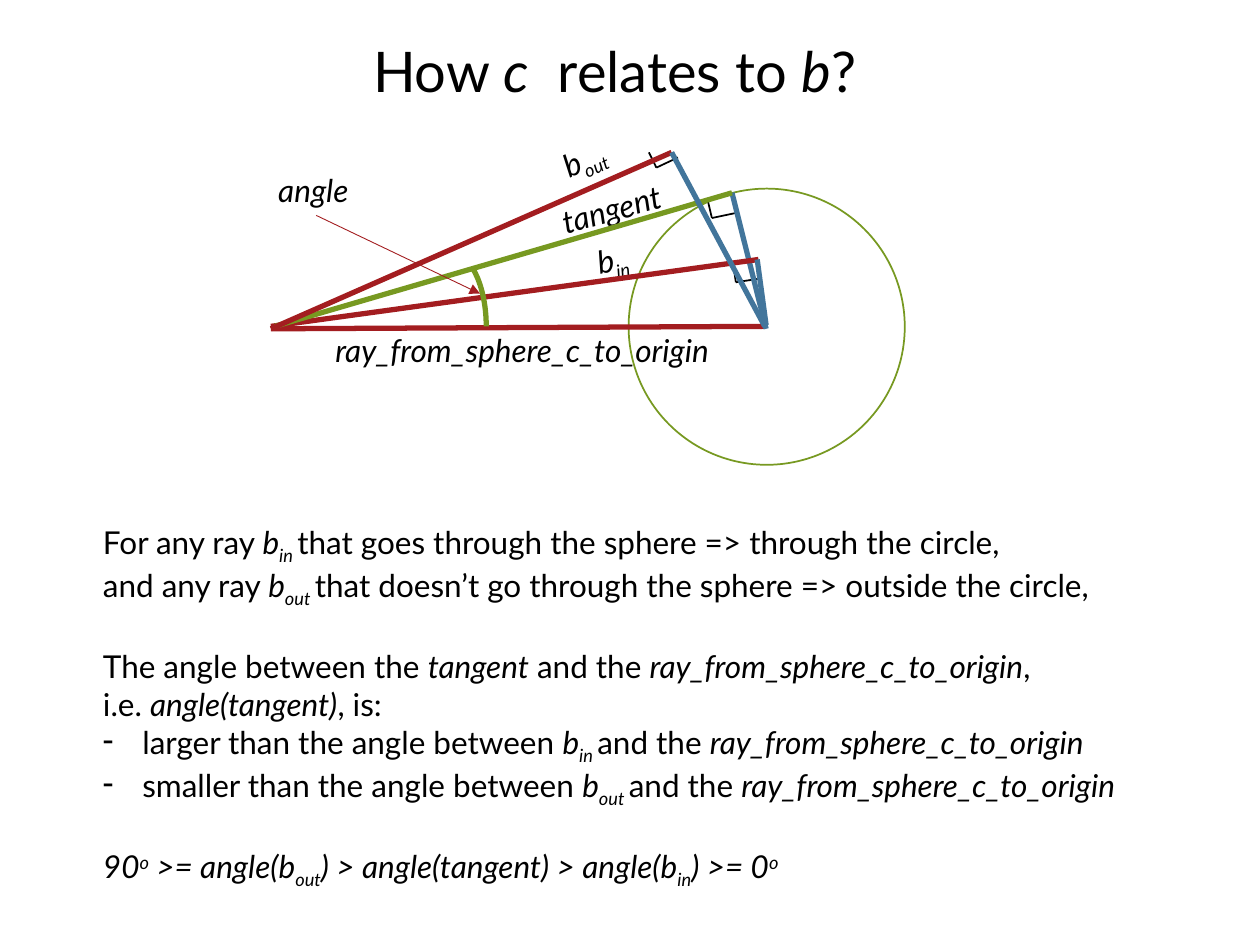
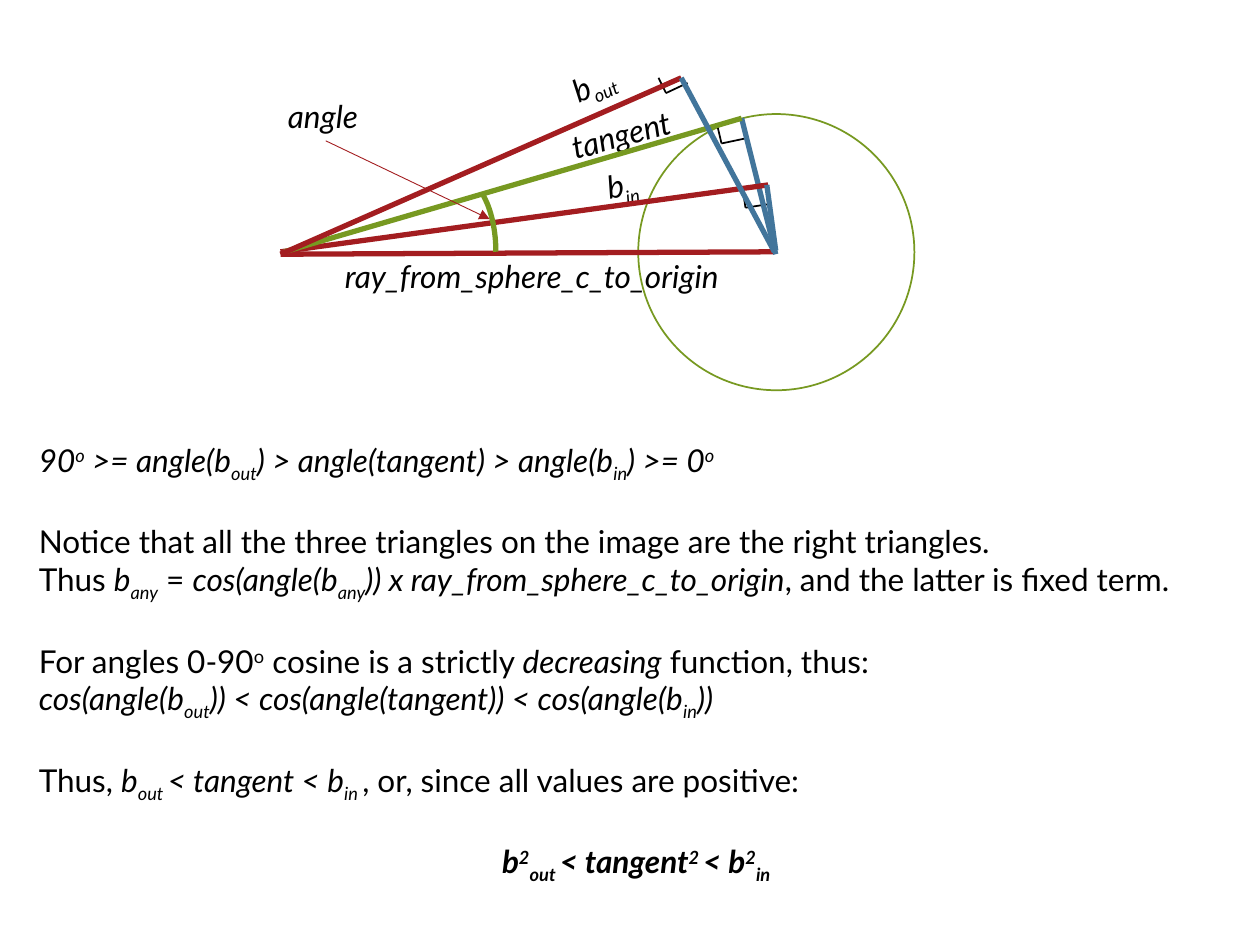
from lxml import etree
from pptx import Presentation
from pptx.dml.color import RGBColor
from pptx.enum.shapes import MSO_CONNECTOR, MSO_SHAPE
from pptx.enum.text import MSO_ANCHOR, MSO_AUTO_SIZE, PP_ALIGN
from pptx.oxml.ns import qn
from pptx.util import Pt

# Shared look
FONT = "Lato"
BLACK, WHITE, RED, GREEN, BLUE = "000000", "FFFFFF", "A31D20", "779921", "42759B"
BODY_SIZE, TITLE_SIZE = 18, 32
BLANK_LINE = 22
BULLET_INDENT = 22.5

# Run styles: i italic, b bold, _ subscript, ^ superscript
BASELINES = {"_": "-25000", "^": "30000"}
LINE_BREAK = None
RAY = ("ray_from_sphere_c_to_origin", "i")

# Text; a paragraph is (options, runs)
TITLE = [("How ", ""), ("c", "i"), ("  relates to ", ""), ("b", "i"), ("?", "")]
ANGLE_ORDER = [
    ("90", "i"), ("o", "i^"), (" >= angle(b", "i"), ("out", "i_"),
    (") > angle(tangent) > angle(b", "i"), ("in", "i_"), (") >= 0", "i"), ("o", "i^"),
]
RELATION_TEXT = [
    ("", [("For any ray ", ""), ("b", "i"), ("in ", "i_"),
          ("that goes through the sphere => through the circle,", ""), LINE_BREAK,
          ("and any ray ", ""), ("b", "i"), ("out ", "i_"),
          ("that doesn’t go through the sphere => outside the circle,", "")]),
    ("gap", [("The angle between the ", ""), ("tangent", "i"), (" and the ", ""), RAY,
             (",", ""), LINE_BREAK, ("i.e. ", ""), ("angle(tangent)", "i"), (", is:", "")]),
    ("bullet", [("larger than the angle between ", ""), ("b", "i"), ("in ", "i_"),
                ("and the ", ""), RAY]),
    ("bullet", [("smaller than the angle between ", ""), ("b", "i"), ("out ", "i_"),
                ("and the ", ""), RAY]),
    ("gap", ANGLE_ORDER),
]
PROOF_TEXT = [
    ("", ANGLE_ORDER),
    ("gap", [("Notice that all the three triangles on the image are the right triangles.", "")]),
    ("", [("Thus ", ""), ("b", "i"), ("any", "i_"), (" = ", ""), ("cos(angle(b", "i"),
          ("any", "i_"), (")) x ray_from_sphere_c_to_origin", "i"),
          (", and the latter is fixed term.", "")]),
    ("gap", [("For angles 0-90", ""), ("o", "^"), (" cosine is a strictly ", ""),
             ("decreasing", "i"), (" function, thus:", "")]),
    ("", [("cos(angle(b", "i"), ("out", "i_"), (")) < cos(angle(tangent)) < cos(angle(b", "i"),
          ("in", "i_"), ("))", "i")]),
    ("gap", [("Thus, ", ""), ("b", "i"), ("out ", "i_"), ("< tangent < b", "i"),
             ("in ", "i_"), (", or, since all values are positive:", "")]),
    ("gap center", [("b", "bi"), ("2", "bi^"), ("out ", "bi_"), ("< tangent", "bi"),
                    ("2 ", "bi^"), ("< b", "bi"), ("2", "bi^"), ("in ", "bi_")]),
]

# Diagram, placed as on the first slide
CIRCLE = (359.2, 107.8, 157.8, 157.8)
ARC = (234.7, 143.3, 43.2, 86.4)
ARC_START = 175.268
LABEL_HEIGHT = 28.8
LABELS = [  # left, top, width, rotation, options, runs
    (334.1, 133.2, 35.3, 349.1, "", [("b", "i"), ("in", "i_")]),
    (177.8, 185.8, 241.2, 0, "center", [RAY]),
    (313.9, 74.9, 43.2, 335.2, "", [("b", "i"), ("out", "i_")]),
    (313.2, 104.4, 77, 344.6, "", [("tangent", "i")]),
    (151.9, 94.3, 58.3, 0, "", [("angle", "i")]),
]
RIGHT_ANGLES = [
    [(404.6, 115.2), (406.8, 124.6), (420.5, 121.7)],
    [(419, 151.2), (420.5, 161.3), (434.9, 159.1)],
    [(370.8, 87.1), (375.1, 95.8), (387.4, 90)],
]
EYE, CENTER = (154.8, 187.9), (437, 186.5)
TANGENT_END, OUT_END = (418.3, 110.2), (383.8, 87.1)
TRIANGLE_SIDES = [
    (CENTER, EYE, RED),
    ((437.8, 187.9), TANGENT_END, BLUE),
    ((154.8, 186.5), (433.4, 148.3), RED),
    ((157, 186.5), TANGENT_END, GREEN),
    ((437.8, 185.8), (432.7, 148.3), BLUE),
    (EYE, OUT_END, RED),
    (CENTER, OUT_END, BLUE),
]
ANGLE_POINTER = ((180.7, 123.1), (274.3, 167.8))

SLIDES = [  # title, diagram shift, body box, body text
    (TITLE, (0, 0), (51.8, 295.2, 619.2, 203.8), RELATION_TEXT),
    (None, (5.5, -42.6), (15.1, 248.4, 699.1, 247), PROOF_TEXT),
]


def color(value):
    return RGBColor.from_string(value)


def points(values):
    return [Pt(value) for value in values]


# Text
def add_runs(paragraph, runs, size):
    for item in runs:
        if item is LINE_BREAK:
            paragraph.add_line_break()
            continue
        text, style = item
        run = paragraph.add_run()
        run.text = text
        run.font.name = FONT
        run.font.size = Pt(size)
        run.font.color.rgb = color(BLACK)
        run.font.bold = "b" in style
        run.font.italic = "i" in style
        for mark, baseline in BASELINES.items():
            if mark in style:
                run._r.get_or_add_rPr().set("baseline", baseline)


def add_bullet(paragraph):
    properties = paragraph._p.get_or_add_pPr()
    properties.set("marL", str(Pt(BULLET_INDENT)))
    properties.set("indent", str(-Pt(BULLET_INDENT)))
    etree.SubElement(properties, qn("a:buFontTx"))
    etree.SubElement(properties, qn("a:buChar")).set("char", "-")


def fill_text(frame, paragraphs, size=BODY_SIZE, wrap=False):
    frame.word_wrap = wrap
    frame.auto_size = MSO_AUTO_SIZE.SHAPE_TO_FIT_TEXT
    frame.vertical_anchor = MSO_ANCHOR.TOP
    for index, (options, runs) in enumerate(paragraphs):
        paragraph = frame.add_paragraph() if index else frame.paragraphs[0]
        paragraph.alignment = PP_ALIGN.CENTER if "center" in options else PP_ALIGN.LEFT
        if "bullet" in options:
            add_bullet(paragraph)
        if "gap" in options:
            paragraph.space_before = Pt(BLANK_LINE)
        add_runs(paragraph, runs, size)


def add_title(slide, runs):
    title = slide.shapes.title
    title.left, title.top, title.width, title.height = points((203, 17.3, 296.6, 46))
    fill_text(title.text_frame, [("center", runs)], TITLE_SIZE)


# Diagram
def add_line(slide, shift, start, end, line_color, width, arrow=False):
    ends = [value + move for point in (start, end) for value, move in zip(point, shift)]
    connector = slide.shapes.add_connector(MSO_CONNECTOR.STRAIGHT, *points(ends))
    connector.line.color.rgb = color(line_color)
    connector.line.width = Pt(width)
    if arrow:
        outline = connector.line._get_or_add_ln()
        etree.SubElement(outline, qn("a:tailEnd")).set("type", "triangle")
    etree.SubElement(connector._element.spPr, qn("a:effectLst"))


def add_outline(slide, shift, kind, box, width):
    left, top, *size = box
    shape = slide.shapes.add_shape(kind, *points((left + shift[0], top + shift[1], *size)))
    shape.shadow.inherit = False
    shape.line.color.rgb = color(GREEN)
    shape.line.width = Pt(width)
    return shape


def add_diagram(slide, shift):
    circle = add_outline(slide, shift, MSO_SHAPE.OVAL, CIRCLE, 1)
    circle.fill.solid()
    circle.fill.fore_color.rgb = color(WHITE)
    for left, top, width, rotation, options, runs in LABELS:
        box = points((left + shift[0], top + shift[1], width, LABEL_HEIGHT))
        label = slide.shapes.add_textbox(*box)
        label.rotation = rotation
        fill_text(label.text_frame, [(options, runs)])
    for corner in RIGHT_ANGLES:
        for start, end in zip(corner, corner[1:]):
            add_line(slide, shift, start, end, BLACK, 1)
    for start, end, side_color in TRIANGLE_SIDES:
        add_line(slide, shift, start, end, side_color, 3)
    arc = add_outline(slide, shift, MSO_SHAPE.ARC, ARC, 3)
    arc.fill.background()
    arc.adjustments[0] = ARC_START
    arc.adjustments[1] = 0
    add_line(slide, shift, *ANGLE_POINTER, RED, 0.5, arrow=True)


def main():
    presentation = Presentation()
    presentation.slide_width, presentation.slide_height = Pt(720), Pt(540)
    title_only, blank = presentation.slide_layouts[5], presentation.slide_layouts[6]
    for title, shift, body_box, body_text in SLIDES:
        slide = presentation.slides.add_slide(title_only if title else blank)
        if title:
            add_title(slide, title)
        add_diagram(slide, shift)
        body = slide.shapes.add_textbox(*points(body_box))
        fill_text(body.text_frame, body_text, wrap=True)
    presentation.save("out.pptx")


if __name__ == "__main__":
    main()
